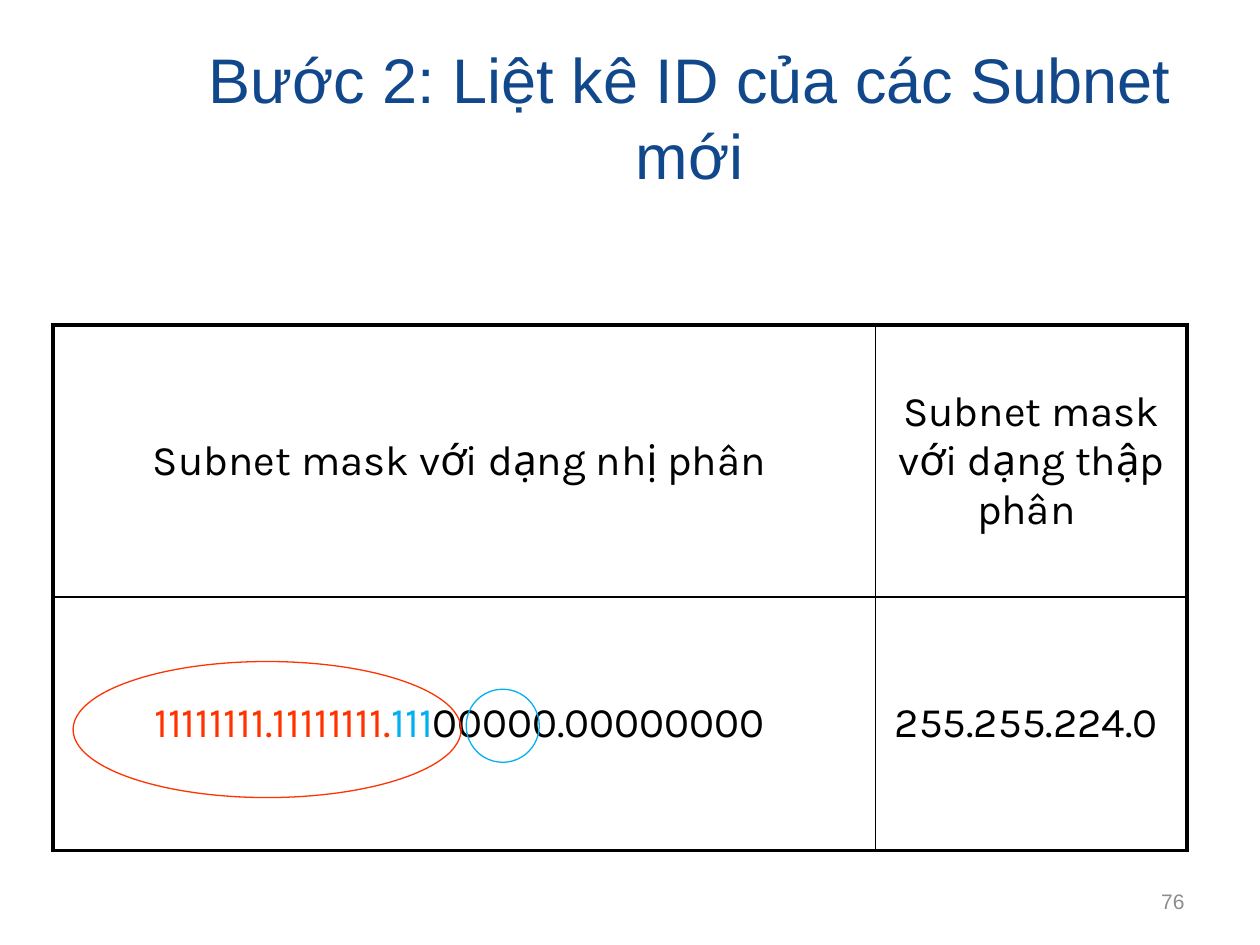
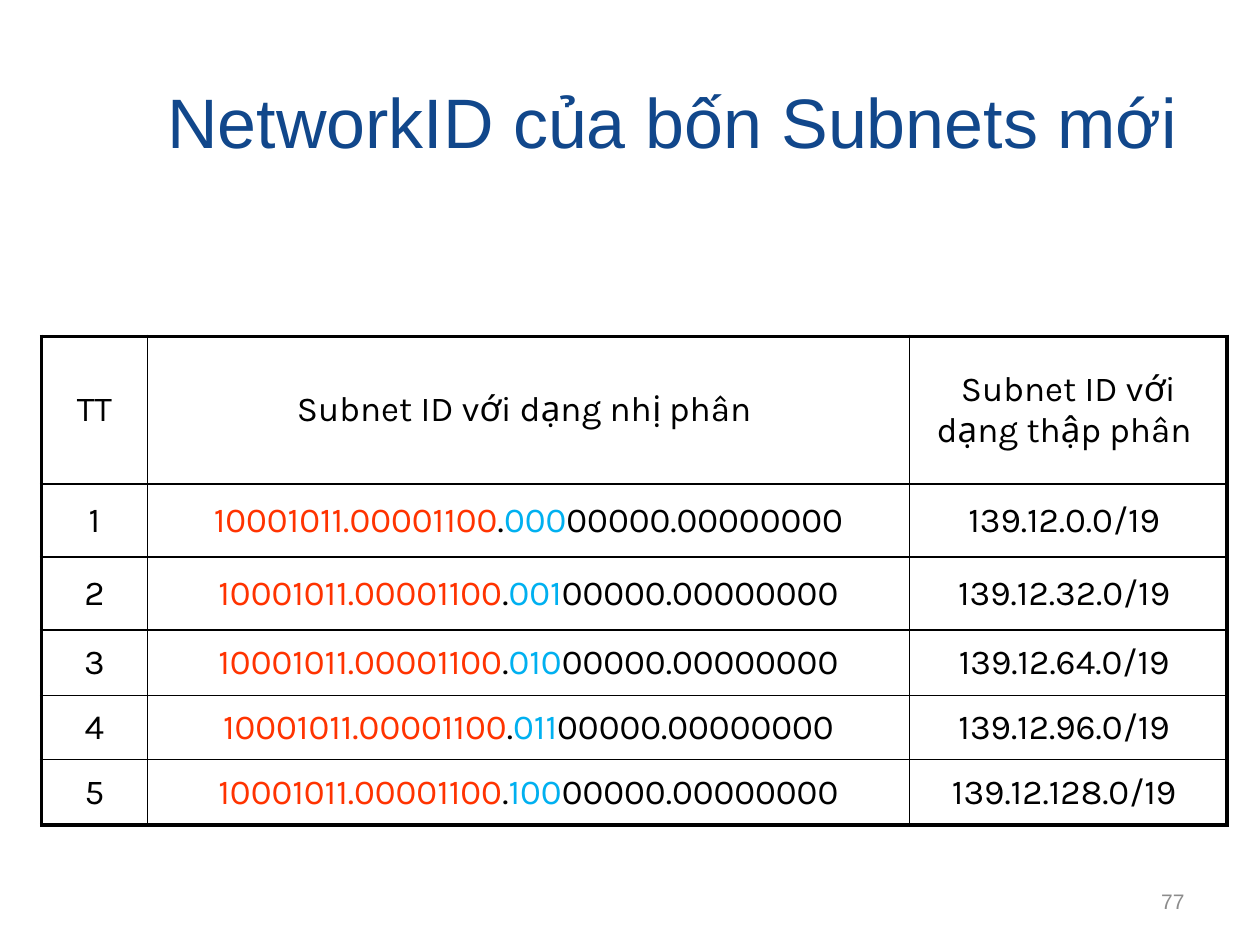
from lxml.etree import SubElement
from pptx import Presentation
from pptx.dml.color import RGBColor
from pptx.enum.shapes import MSO_SHAPE
from pptx.enum.text import MSO_ANCHOR, MSO_AUTO_SIZE, PP_ALIGN
from pptx.oxml.ns import qn
from pptx.util import Inches, Pt

NAVY = RGBColor(0x11, 0x47, 0x8B)
RED = RGBColor(0xFF, 0x33, 0x00)
CYAN = RGBColor(0x00, 0xB0, 0xF0)
BLACK = RGBColor(0, 0, 0)
GRAY = RGBColor(0x8C, 0x8C, 0x8C)
TITLE_FONT = "Arial"
TABLE_FONT = "Karla"
OUTER, INNER = 2.25, 1


def write(tf, runs, size, font=TITLE_FONT, color=BLACK, align=PP_ALIGN.CENTER):
    tf.word_wrap = True
    p = tf.paragraphs[0]
    p.alignment = align
    if isinstance(runs, str):
        runs = [(runs, color)]
    for text, run_color in runs:
        r = p.add_run()
        r.text = text
        r.font.size = Pt(size)
        r.font.name = font
        r.font.color.rgb = run_color


class Deck:
    def __init__(self):
        self.prs = Presentation()
        self.prs.slide_width = Inches(10)
        self.prs.slide_height = Inches(7.5)
        self.s = None

    def slide(self, number):
        self.s = self.prs.slides.add_slide(self.prs.slide_layouts[5])
        sp = self.s.shapes.add_textbox(Inches(7.17), Inches(6.95), Inches(2.33), Inches(0.4))
        sp.text_frame.vertical_anchor = MSO_ANCHOR.MIDDLE
        write(sp.text_frame, str(number), 12, color=GRAY, align=PP_ALIGN.RIGHT)

    def title(self, text, top, width, height, size):
        sp = self.s.shapes.title
        sp.left, sp.top = Inches(1.17), Inches(top)
        sp.width, sp.height = Inches(width), Inches(height)
        tf = sp.text_frame
        tf.auto_size = MSO_AUTO_SIZE.NONE
        tf.vertical_anchor = MSO_ANCHOR.MIDDLE
        write(tf, text, size, color=NAVY)

    def table(self, left, top, widths, heights, rows, size):
        frame = self.s.shapes.add_table(len(rows), len(widths), Inches(left), Inches(top),
                                        Inches(sum(widths)), Inches(sum(heights)))
        table = frame.table
        table.first_row = table.horz_banding = False
        for col, width in zip(table.columns, widths):
            col.width = Inches(width)
        for row, height in zip(table.rows, heights):
            row.height = Inches(height)
        for i, row in enumerate(rows):
            for j, runs in enumerate(row):
                cell = table.cell(i, j)
                cell.fill.background()
                cell.vertical_anchor = MSO_ANCHOR.MIDDLE
                write(cell.text_frame, runs, size, TABLE_FONT)
                self.borders(cell, L=j == 0, R=j == len(widths) - 1,
                             T=i == 0, B=i == len(rows) - 1)

    def borders(self, cell, **edges):
        pr = cell._tc.get_or_add_tcPr()
        for index, (side, outer) in enumerate(edges.items()):
            ln = SubElement(pr, qn(f"a:ln{side}"), w=str(Pt(OUTER if outer else INNER)))
            fill = SubElement(ln, qn("a:solidFill"))
            SubElement(fill, qn("a:srgbClr"), val=str(BLACK))
            pr.insert(index, ln)

    def ellipse(self, left, top, width, height, color):
        sp = self.s.shapes.add_shape(MSO_SHAPE.OVAL, Inches(left), Inches(top),
                                     Inches(width), Inches(height))
        sp.shadow.inherit = False
        sp.fill.background()
        sp.line.color.rgb = color
        sp.line.width = Pt(0.75)


def mask_slide(deck):
    deck.slide(76)
    deck.title("Bước 2: Liệt kê ID của các Subnet mới", 0.34, 8.61, 1.17, 36)
    mask = [("11111111.11111111.", RED), ("111", CYAN), ("00000.00000000 ", BLACK)]
    deck.table(0.42, 2.58, [6.53, 2.47], [2.16, 2.01], [
        ["Subnet mask với dạng nhị phân ", "Subnet mask với dạng thập phân "],
        [mask, "255.255.224.0 "],
    ], 24)
    deck.ellipse(0.58, 5.25, 3.08, 1.08, RED)
    deck.ellipse(3.7, 5.47, 0.58, 0.58, CYAN)


def subnets_slide(deck):
    deck.slide(77)
    deck.title("NetworkID của bốn Subnets mới ", 0.33, 8.33, 1.25, 40)
    rows = [["TT", "Subnet ID với dạng nhị phân ", "Subnet ID với dạng thập phân "]]
    for subnet in range(5):
        binary = [("10001011.00001100", RED), (".", BLACK),
                  (f"{subnet:03b}", CYAN), ("00000.00000000", BLACK)]
        rows.append([str(subnet + 1), binary, f"139.12.{subnet * 32}.0/19 "])
    deck.table(0.33, 2.67, [0.84, 6.05, 2.52],
               [1.17, 0.58, 0.58, 0.52, 0.51, 0.52], rows, 20)


def main():
    deck = Deck()
    mask_slide(deck)
    subnets_slide(deck)
    deck.prs.save("out.pptx")


if __name__ == "__main__":
    main()
